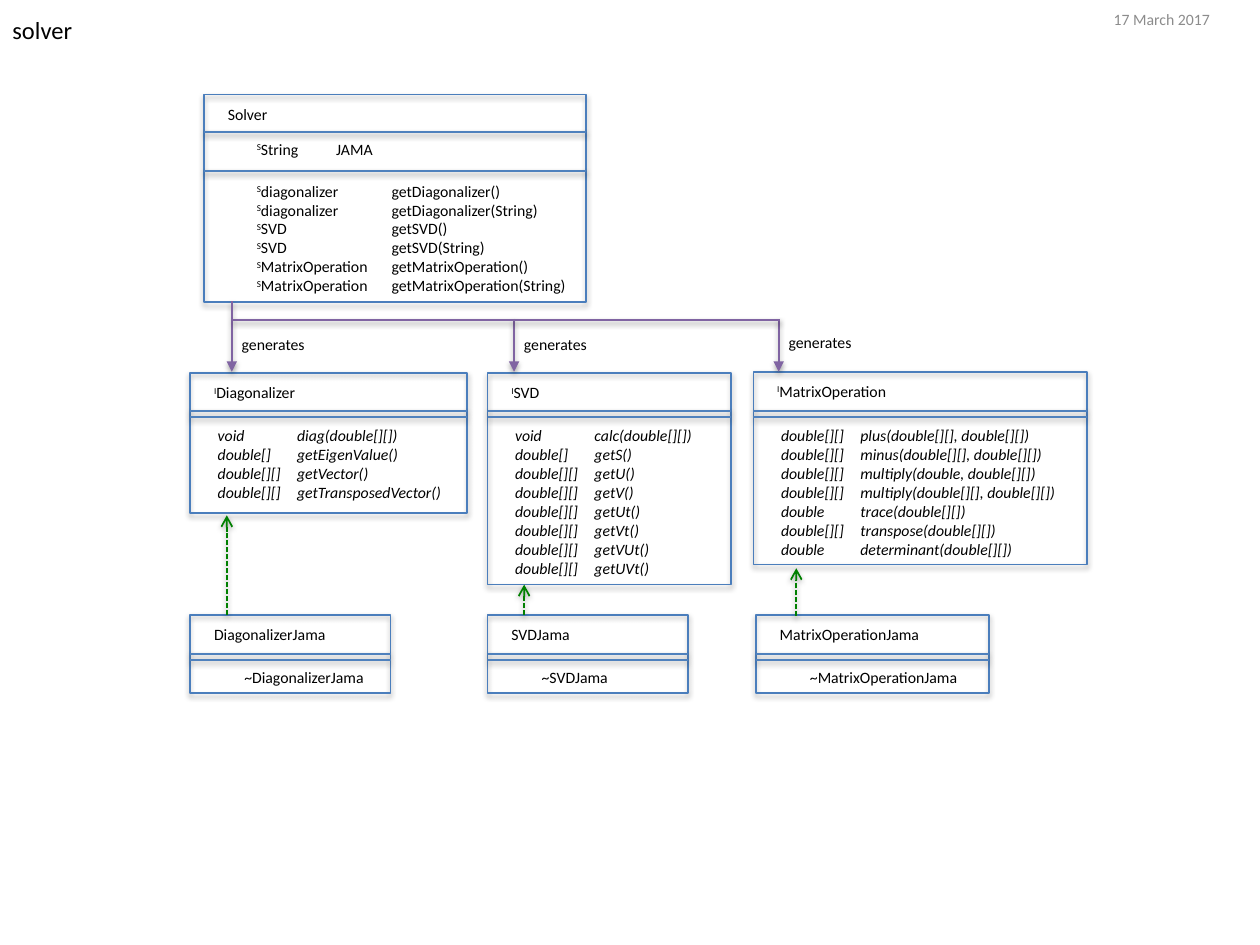
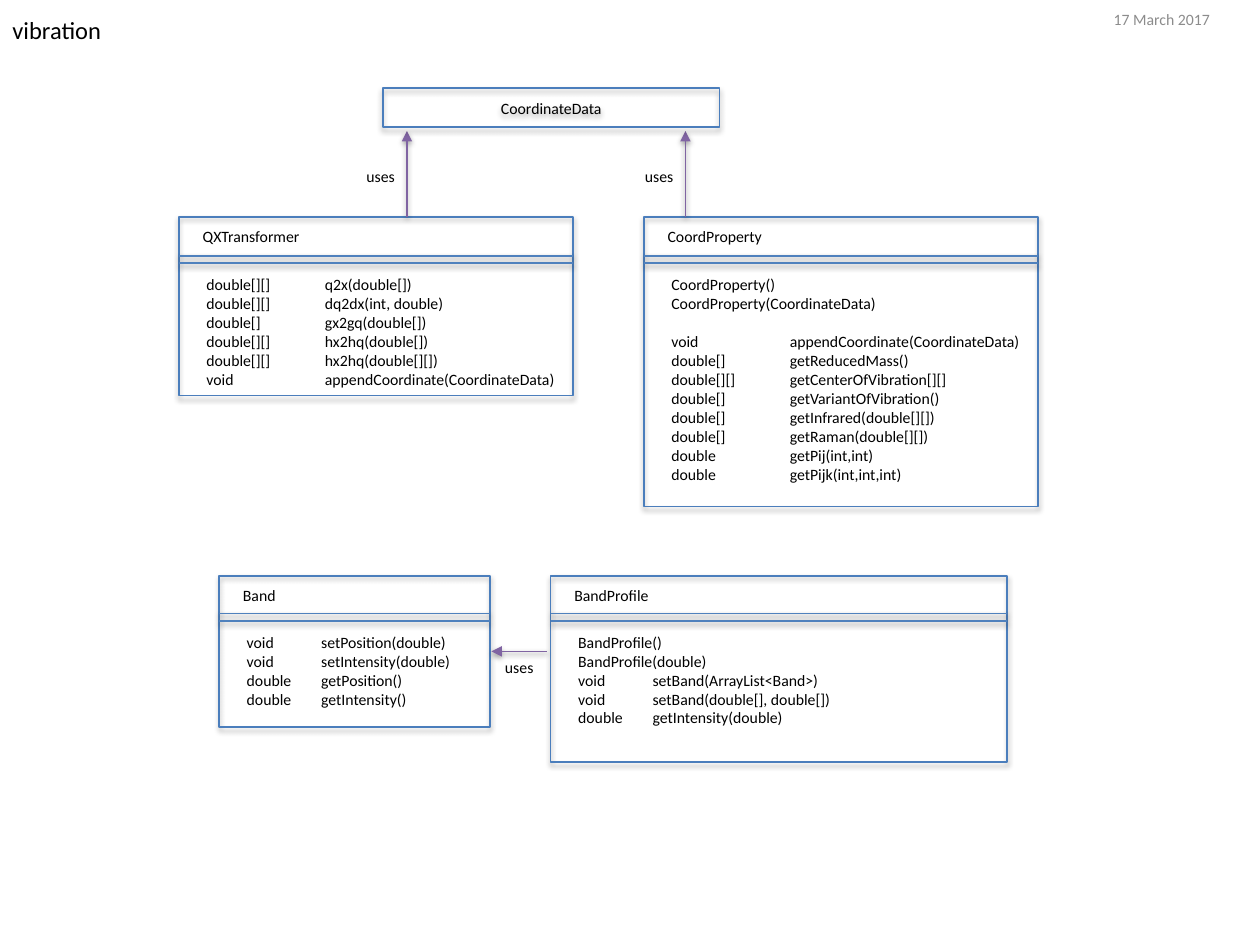
"""Build two class diagram slides: solver and vibration."""
from dataclasses import dataclass
from typing import Optional

from lxml.etree import SubElement
from pptx import Presentation
from pptx.dml.color import RGBColor
from pptx.enum.dml import MSO_LINE
from pptx.enum.shapes import MSO_CONNECTOR, MSO_SHAPE
from pptx.enum.text import MSO_ANCHOR, PP_ALIGN
from pptx.oxml.ns import qn
from pptx.util import Inches, Pt

BLACK = RGBColor(0x00, 0x00, 0x00)
GREY = RGBColor(0x8C, 0x8C, 0x8C)
BOX_BLUE = RGBColor(0x4B, 0x7E, 0xBC)
RULE_BLUE = RGBColor(0x4F, 0x81, 0xBD)
PURPLE = RGBColor(0x80, 0x64, 0xA2)
GREEN = RGBColor(0x00, 0x80, 0x00)
FONT = "Calibri"
DATE = "17 March 2017"
LABEL_HEIGHT = 0.25
LINE_HEIGHT = 0.15


@dataclass(frozen=True)
class ClassBox:
    """A class diagram box with a name, optional fields and members."""
    name: str
    left: float
    top: float
    width: float
    height: float
    members: tuple[str, ...]
    tab: float = 0.63
    header: float = 0.3
    band: float = 0.05
    indent: float = 0.12
    body_gap: float = 0.02
    name_mark: str = ""
    member_mark: str = ""
    italic: bool = False
    field: str = ""
    spaced_member: Optional[int] = None


@dataclass(frozen=True)
class Arrow:
    """A straight line with an optional head at its end."""
    start: tuple[float, float]
    end: tuple[float, float]
    color: RGBColor = PURPLE
    head: str = "triangle"
    dashed: bool = False


@dataclass(frozen=True)
class Label:
    """A short text beside an arrow."""
    text: str
    left: float
    top: float
    width: float


@dataclass(frozen=True)
class Diagram:
    """The contents of one slide."""
    title: str
    boxes: tuple[ClassBox, ...]
    arrows: tuple[Arrow, ...]
    labels: tuple[Label, ...]


def interface(name: str, left: float, top: float, width: float, height: float,
              members: tuple[str, ...], header: float = 0.3) -> ClassBox:
    """Describe an interface with italic members."""
    return ClassBox(name, left, top, width, height, members, header=header,
                    name_mark="I", italic=True)


def implementation(name: str, left: float, width: float) -> ClassBox:
    """Describe a class that has only a package constructor."""
    return ClassBox(name, left, 4.88, width, 0.62, ("~" + name,),
                    header=0.31, indent=0.33, body_gap=0.01)


SOLVER = Diagram(
    "solver",
    (
        ClassBox("Solver", 1.62, 0.75, 3.03, 1.65, (
            "diagonalizer\tgetDiagonalizer()",
            "diagonalizer\tgetDiagonalizer(String)",
            "SVD\tgetSVD()",
            "SVD\tgetSVD(String)",
            "MatrixOperation\tgetMatrixOperation()",
            "MatrixOperation\tgetMatrixOperation(String)",
        ), tab=1.07, band=0.31, indent=0.32, body_gap=0.03,
            member_mark="S", field="String\tJAMA"),
        interface("Diagonalizer", 1.51, 2.96, 2.2, 1.11, (
            "void\tdiag(double[][])",
            "double[]\tgetEigenValue()",
            "double[][]\tgetVector()",
            "double[][]\tgetTransposedVector()",
        )),
        interface("SVD", 3.87, 2.96, 1.93, 1.68, (
            "void\tcalc(double[][])",
            "double[]\tgetS()",
            "double[][]\tgetU()",
            "double[][]\tgetV()",
            "double[][]\tgetUt()",
            "double[][]\tgetVt()",
            "double[][]\tgetVUt()",
            "double[][]\tgetUVt()",
        )),
        interface("MatrixOperation", 5.98, 2.95, 2.65, 1.53, (
            "double[][]\tplus(double[][], double[][])",
            "double[][]\tminus(double[][], double[][])",
            "double[][]\tmultiply(double, double[][])",
            "double[][]\tmultiply(double[][], double[][])",
            "double\ttrace(double[][])",
            "double[][]\ttranspose(double[][])",
            "double\tdeterminant(double[][])",
        ), header=0.31),
        implementation("DiagonalizerJama", 1.51, 1.59),
        implementation("SVDJama", 3.87, 1.59),
        implementation("MatrixOperationJama", 6, 1.85),
    ),
    (
        Arrow((1.84, 2.39), (1.84, 2.95)),
        Arrow((4.08, 2.53), (4.08, 2.95)),
        Arrow((6.18, 2.53), (6.18, 2.95)),
        Arrow((6.19, 2.54), (1.85, 2.54), head=""),
        Arrow((1.8, 4.88), (1.8, 4.09), GREEN, "arrow", True),
        Arrow((4.16, 4.88), (4.16, 4.64), GREEN, "arrow", True),
        Arrow((6.32, 4.89), (6.32, 4.51), GREEN, "arrow", True),
    ),
    (
        Label("generates", 1.82, 2.61, 0.71),
        Label("generates", 4.06, 2.61, 0.71),
        Label("generates", 6.16, 2.59, 0.71),
    ),
)

VIBRATION = Diagram(
    "vibration",
    (
        ClassBox("QXTransformer", 1.42, 1.72, 3.13, 1.42, (
            "double[][]\tq2x(double[])",
            "double[][]\tdq2dx(int, double)",
            "double[]\tgx2gq(double[])",
            "double[][]\thx2hq(double[])",
            "double[][]\thx2hq(double[][])",
            "void\tappendCoordinate(CoordinateData)",
        ), tab=0.94, header=0.31, band=0.06, body_gap=0.04),
        ClassBox("CoordProperty", 5.11, 1.72, 3.13, 2.3, (
            "CoordProperty()",
            "CoordProperty(CoordinateData)",
            "void\tappendCoordinate(CoordinateData)",
            "double[]\tgetReducedMass()",
            "double[][]\tgetCenterOfVibration[][]",
            "double[]\tgetVariantOfVibration()",
            "double[]\tgetInfrared(double[][])",
            "double[]\tgetRaman(double[][])",
            "double\tgetPij(int,int)",
            "double\tgetPijk(int,int,int)",
        ), tab=0.94, header=0.31, band=0.06, body_gap=0.04, spaced_member=2),
        ClassBox("Band", 1.74, 4.57, 2.15, 1.2, (
            "void\tsetPosition(double)",
            "void\tsetIntensity(double)",
            "double\tgetPosition()",
            "double\tgetIntensity()",
        ), tab=0.59, band=0.06, body_gap=0.04),
        ClassBox("BandProfile", 4.37, 4.57, 3.62, 1.48, (
            "BandProfile()",
            "BandProfile(double)",
            "void\tsetBand(ArrayList<Band>)",
            "void\tsetBand(double[], double[])",
            "double\tgetIntensity(double)",
        ), tab=0.59, band=0.06, body_gap=0.04),
    ),
    (
        Arrow((3.23, 1.72), (3.23, 1.04)),
        Arrow((5.44, 1.72), (5.44, 1.04)),
        Arrow((4.34, 5.17), (3.9, 5.17)),
    ),
    (
        Label("uses", 2.81, 1.27, 0.43),
        Label("uses", 5.02, 1.27, 0.43),
        Label("uses", 3.91, 5.17, 0.43),
    ),
)


def add_shadow(shape, opacity: int, distance: float) -> None:
    """Give a shape or connector a soft shadow straight below it."""
    effects = SubElement(shape._element.spPr, qn("a:effectLst"))
    shadow = SubElement(effects, qn("a:outerShdw"), blurRad=str(Pt(3.1)),
                        dist=str(Pt(distance)), dir="5400000", rotWithShape="0")
    color = SubElement(shadow, qn("a:srgbClr"), val=str(BLACK))
    SubElement(color, qn("a:alpha"), val=str(opacity * 1000))


def write_text(frame, *lines: str, size: float = 9, color: RGBColor = BLACK,
               italic: bool = False, mark: str = "", tab: float = 0,
               spaced_line: Optional[int] = None, wrap: bool = True,
               align: PP_ALIGN = PP_ALIGN.LEFT,
               anchor: MSO_ANCHOR = MSO_ANCHOR.TOP) -> None:
    """Fill a text frame with one paragraph a line, each after a raised mark."""
    frame.word_wrap = wrap
    frame.vertical_anchor = anchor
    for index, line in enumerate(lines):
        paragraph = frame.paragraphs[0] if index == 0 else frame.add_paragraph()
        paragraph.alignment = align
        if index == spaced_line:
            paragraph.space_before = Pt(11)
        if tab:
            tabs = SubElement(paragraph._p.get_or_add_pPr(), qn("a:tabLst"))
            SubElement(tabs, qn("a:tab"), pos=str(Inches(tab)), algn="l")
        for text in filter(None, (mark, line)):
            run = paragraph.add_run()
            run.text = text
            run.font.name = FONT
            run.font.size = Pt(size)
            run.font.italic = italic
            run.font.color.rgb = color
            if text == mark:
                run.font._element.set("baseline", "30000")


def add_text(slide, left: float, top: float, width: float, height: float,
             *lines: str, **text_format) -> None:
    """Place a formatted text box."""
    box = slide.shapes.add_textbox(Inches(left), Inches(top), Inches(width), Inches(height))
    write_text(box.text_frame, *lines, **text_format)


def add_line(shapes, arrow: Arrow) -> None:
    """Draw a line, dashed or headed as described."""
    connector = shapes.add_connector(MSO_CONNECTOR.STRAIGHT,
                                     *map(Inches, arrow.start + arrow.end))
    connector.line.color.rgb = arrow.color
    connector.line.width = Pt(1)
    if arrow.dashed:
        connector.line.dash_style = MSO_LINE.SQUARE_DOT
    if arrow.head:
        SubElement(connector.line._get_or_add_ln(), qn("a:tailEnd"), type=arrow.head)
    add_shadow(connector, 38, 1.6)


def add_frame(shapes, left: float, top: float, width: float, height: float):
    """Draw an unfilled, outlined rectangle with a shadow."""
    frame = shapes.add_shape(MSO_SHAPE.RECTANGLE, Inches(left), Inches(top),
                             Inches(width), Inches(height))
    frame.fill.background()
    frame.line.color.rgb = BOX_BLUE
    frame.line.width = Pt(1)
    add_shadow(frame, 35, 1.8)
    return frame


def add_class_box(slide, box: ClassBox) -> None:
    """Draw a class box with its two rules and its texts."""
    group = slide.shapes.add_group_shape()
    add_frame(group.shapes, box.left, box.top, box.width, box.height)
    first_rule = box.top + box.header
    second_rule = first_rule + box.band
    for rule in (first_rule, second_rule):
        add_line(group.shapes, Arrow((box.left, rule), (box.left + box.width, rule),
                                     RULE_BLUE, head=""))
    body_left = box.left + box.indent
    body_width = box.width - box.indent + 0.05
    add_text(slide, box.left + 0.09, box.top + 0.03, box.width - 0.18, LABEL_HEIGHT,
             box.name, mark=box.name_mark, wrap=False)
    if box.field:
        add_text(slide, body_left, first_rule + 0.01, body_width, LABEL_HEIGHT,
                 box.field, mark=box.member_mark, tab=0.63)
    add_text(slide, body_left, second_rule + box.body_gap, body_width,
             0.1 + LINE_HEIGHT * len(box.members), *box.members, tab=box.tab,
             mark=box.member_mark, italic=box.italic, spaced_line=box.spaced_member)


def add_diagram(presentation, diagram: Diagram):
    """Add a slide with title, date, class boxes, arrows and labels."""
    slide = presentation.slides.add_slide(presentation.slide_layouts[6])
    add_text(slide, 0, 0.07, 0.92, 0.34, diagram.title, size=14, wrap=False)
    add_text(slide, 8.74, 0.01, 1.26, 0.29, DATE, color=GREY, anchor=MSO_ANCHOR.MIDDLE)
    for box in diagram.boxes:
        add_class_box(slide, box)
    for arrow in diagram.arrows:
        add_line(slide.shapes, arrow)
    for label in diagram.labels:
        add_text(slide, label.left, label.top, label.width, LABEL_HEIGHT, label.text, wrap=False)
    return slide


def main() -> None:
    """Build and save the presentation."""
    presentation = Presentation()
    presentation.slide_width, presentation.slide_height = Inches(10), Inches(7.5)
    add_diagram(presentation, SOLVER)
    vibration_slide = add_diagram(presentation, VIBRATION)
    coordinate_data = add_frame(vibration_slide.shapes, 3.04, 0.7, 2.67, 0.31)
    write_text(coordinate_data.text_frame, "CoordinateData",
               align=PP_ALIGN.CENTER, anchor=MSO_ANCHOR.MIDDLE)
    presentation.save("out.pptx")


if __name__ == "__main__":
    main()
